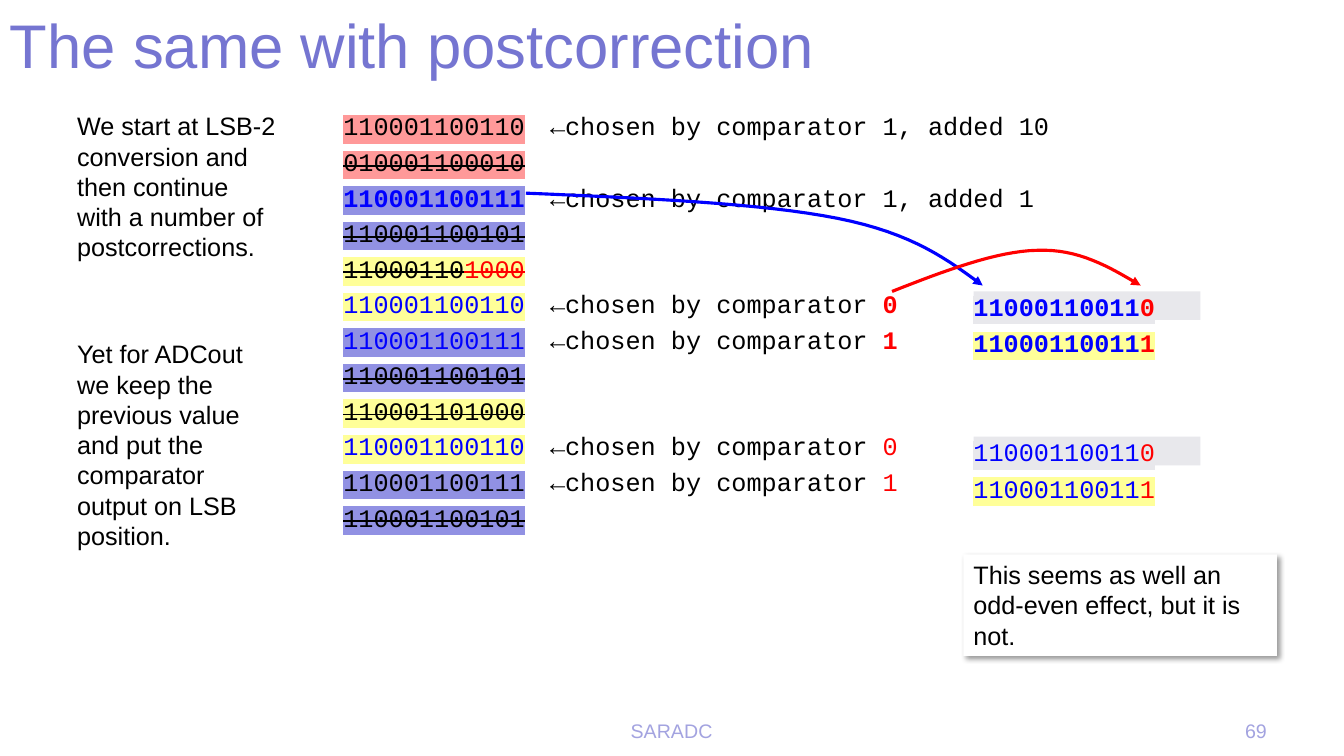
from lxml import etree
from pptx import Presentation
from pptx.dml.color import RGBColor
from pptx.enum.shapes import MSO_SHAPE
from pptx.enum.text import MSO_ANCHOR, PP_ALIGN
from pptx.oxml.ns import qn
from pptx.util import Inches, Pt

RECT = MSO_SHAPE.RECTANGLE
TOP = MSO_ANCHOR.TOP
LEFT, MID, RIGHT = PP_ALIGN.LEFT, PP_ALIGN.CENTER, PP_ALIGN.RIGHT

WIDE, HIGH = Inches(13.333), Inches(7.5)
COLS = 16
CELL = WIDE / COLS

BLACK, WHITE, BLUE, RED = "000000", "FFFFFF", "0000FF", "FF0000"
TITLE, FOOT = "7575D1", "A3A3E0"
PINK, LILAC, YELLOW, GREY = "FF9999", "9191E3", "FFFF99", "E8E8EC"
SANS, MONO = "Arial", "Courier New"
BODY = 18


def grid(n):
    """Length of n grid cells; the slide is 16 columns by 9 rows."""
    return int(n * CELL)


def rgb(code):
    return RGBColor.from_string(code)


def sub(node, tag, **attrs):
    return etree.SubElement(node, qn(tag), attrs)


def bits(text, color=BLACK, mark=None, bold=False, strike=False):
    """Describe one run of text."""
    return text, color, mark, bold, strike


class Deck:
    def __init__(self):
        self.file = Presentation()
        self.file.slide_width, self.file.slide_height = WIDE, HIGH
        self.slide = self.file.slides.add_slide(self.file.slide_layouts[6])
        self.shapes = self.slide.shapes

    def style(self, run, size, color, font):
        run.font.size, run.font.name = Pt(size), font
        run.font.color.rgb = rgb(color)

    def fill(self, frame, lines, size, color, align, gap):
        """Put plain paragraphs in a frame, gap points apart."""
        frame.word_wrap = True
        frame.vertical_anchor = TOP
        frame.text = "\n".join(lines)
        for i, para in enumerate(frame.paragraphs):
            para.alignment = align
            if i:
                para.space_before = Pt(gap)
            for run in para.runs:
                self.style(run, size, color, SANS)

    def text(self, place, *lines, size=BODY, color=BLACK, align=LEFT, gap=0):
        box = self.shapes.add_textbox(*map(grid, place))
        self.fill(box.text_frame, lines, size, color, align, gap)

    def code(self, place, rows, gap, tab=None):
        """Set rows of marked digits in the mono font."""
        frame = self.shapes.add_textbox(*map(grid, place)).text_frame
        frame.word_wrap = True
        for i, row in enumerate(rows):
            para = frame.add_paragraph() if i else frame.paragraphs[0]
            if i:
                para.space_before = Pt(gap)
            if tab:
                stops = sub(para._p.get_or_add_pPr(), "a:tabLst")
                sub(stops, "a:tab", pos=str(grid(tab)), algn="l")
            for part in row:
                self.run(para, *part)

    def run(self, para, text, color, mark, bold, strike):
        run = para.add_run()
        run.text = text
        self.style(run, BODY, color, MONO)
        run.font.bold = bold
        props = run._r.get_or_add_rPr()
        if strike:
            props.set("strike", "sngStrike")
        if mark:
            light = etree.Element(qn("a:highlight"))
            sub(light, "a:srgbClr", val=mark)
            props.find(qn("a:solidFill")).addnext(light)

    def rect(self, place, color):
        shape = self.shapes.add_shape(RECT, *map(grid, place))
        shape.shadow.inherit = False
        shape.fill.solid()
        shape.fill.fore_color.rgb = rgb(color)
        shape.line.fill.background()
        return shape

    def note(self, place, line):
        """White box with a soft shadow."""
        shape = self.rect(place, WHITE)
        self.fill(shape.text_frame, [line], BODY, BLACK, LEFT, 0)
        cast = sub(shape._element.spPr.find(qn("a:effectLst")), "a:outerShdw",
                   blurRad=str(Pt(4)), dist=str(Pt(3)), dir="2700000",
                   algn="tl", rotWithShape="0")
        shade = sub(cast, "a:srgbClr", val=BLACK)
        sub(shade, "a:alpha", val="40000")

    def arrow(self, knots, color, steps=16):
        """Draw chained cubic curves; each uses three more knots."""
        track = []
        for k in range(0, len(knots) - 1, 3):
            for step in range(1, steps + 1):
                t = step / steps
                u = 1 - t
                share = (u ** 3, 3 * u * u * t, 3 * u * t * t, t ** 3)
                track.append(tuple(
                    grid(sum(w * p[axis] for w, p in zip(share, knots[k:k + 4])))
                    for axis in (0, 1)))
        pen = self.shapes.build_freeform(*map(grid, knots[0]))
        pen.add_line_segments(track, close=False)
        curve = pen.convert_to_shape()
        curve.shadow.inherit = False
        curve.fill.background()
        curve.line.color.rgb = rgb(color)
        curve.line.width = Pt(2.25)
        sub(curve.line._get_or_add_ln(), "a:tailEnd", type="triangle")


def main():
    deck = Deck()
    deck.text((0, 0.02, 14.4, 1.5), "The same with postcorrection",
              size=44, color=TITLE)
    deck.text((0.8, 1.26, 2.6, 6.84),
              "We start at LSB-2 conversion and then continue with a number of "
              "postcorrections.",
              "Yet for ADCout we keep the previous value and put the comparator "
              "output on LSB position.", gap=54.8)

    chosen = "\t←chosen by comparator "
    drop = [bits("110001100101", mark=LILAC, strike=True)]
    rows = [
        [bits("110001100110", mark=PINK), bits(chosen + "1, added 10")],
        [bits("010001100010", mark=PINK, strike=True)],
        [bits("110001100111", BLUE, LILAC, bold=True),
         bits(chosen + "1, added 1")],
        drop,
        [bits("11000110", mark=YELLOW, strike=True),
         bits("1000", RED, YELLOW, strike=True)],
        [bits("110001100110", BLUE, YELLOW), bits(chosen),
         bits("0", RED, bold=True)],
        [bits("110001100111", BLUE, LILAC), bits(chosen),
         bits("1", RED, bold=True)],
        drop,
        [bits("110001101000", mark=YELLOW, strike=True)],
        [bits("110001100110", BLUE, YELLOW), bits(chosen), bits("0", RED)],
        [bits("110001100111", mark=LILAC), bits(chosen), bits("1", RED)],
        drop,
    ]
    deck.code((3.97, 1.26, 10.03, 6.84), rows, gap=3.8, tab=2.46)

    deck.text((4.93, 8.5, 6.13, 0.5), "SARADC", size=14, color=FOOT, align=MID)
    side, span = 11.47, 3.73
    deck.text((side, 8.5, span, 0.5), "69", size=14, color=FOOT, align=RIGHT)

    for top, bold in ((3.41, True), (5.14, False)):
        deck.rect((side + 0.12, top + 0.06, 2.7, 0.34), GREY)
        pair = [[bits("11000110011", BLUE, mark, bold),
                 bits(last, RED, mark, bold)]
                for last, mark in (("0", GREY), ("1", YELLOW))]
        deck.code((side, top, span, 0.9), pair, gap=4.3)

    deck.note((side, 6.6, span, 1.21),
              "This seems as well an odd-even effect, but it is not.")
    deck.arrow([(6.26, 2.3), (7.67, 2.36), (9.07, 2.42), (9.97, 2.6),
                (10.88, 2.78), (11.29, 3.1), (11.7, 3.4)], BLUE)
    deck.arrow([(10.62, 3.47), (11.23, 3.23), (11.86, 2.99), (12.35, 2.98),
                (12.84, 2.96), (13.21, 3.18), (13.58, 3.4)], RED)
    deck.file.save("out.pptx")


if __name__ == "__main__":
    main()
